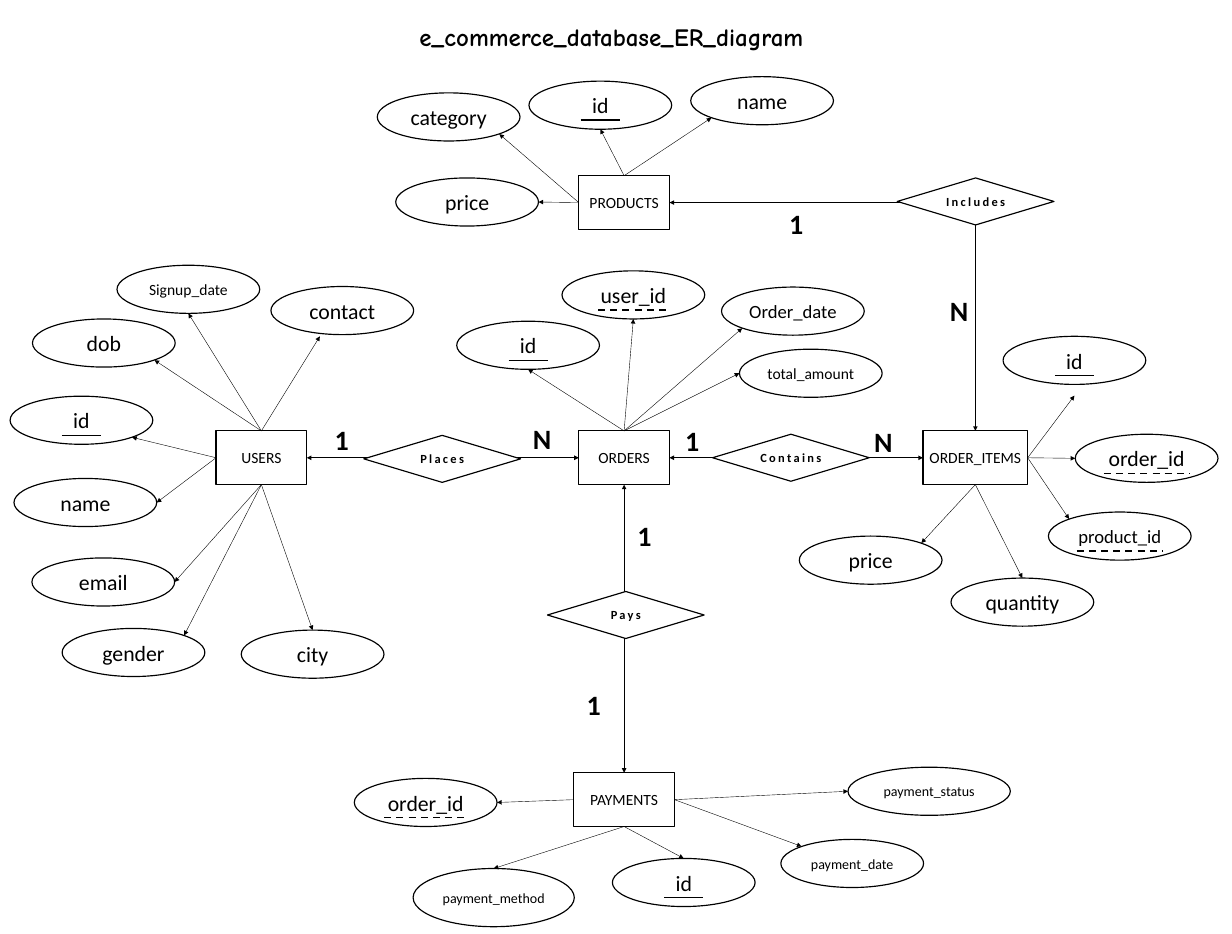
from lxml import etree
from pptx import Presentation
from pptx.dml.color import RGBColor
from pptx.enum.dml import MSO_LINE
from pptx.enum.shapes import MSO_CONNECTOR, MSO_SHAPE
from pptx.enum.text import MSO_ANCHOR, PP_ALIGN
from pptx.oxml.ns import qn
from pptx.util import Cm, Pt

RECT, OVAL, DIAMOND = MSO_SHAPE.RECTANGLE, MSO_SHAPE.OVAL, MSO_SHAPE.DIAMOND
STRAIGHT, ELBOW = MSO_CONNECTOR.STRAIGHT, MSO_CONNECTOR.ELBOW
DASH = MSO_LINE.DASH
MIDDLE, LEFT, CENTER = MSO_ANCHOR.MIDDLE, PP_ALIGN.LEFT, PP_ALIGN.CENTER
BLACK, WHITE = "000000", "FFFFFF"
TOP, WEST, BASE, EAST = range(4)

DIAG = 0.71
SITES = {
    "t": (0, -1), "b": (0, 1), "l": (-1, 0), "r": (1, 0),
    "tl": (-DIAG, -DIAG), "tr": (DIAG, -DIAG),
    "bl": (-DIAG, DIAG), "br": (DIAG, DIAG),
}

# Entity: box in inches, then attributes as
# (name, offset x, offset y, side of the entity, site on the oval, format)
PRIME = {"key": 0.7}
ENTITIES = {
    "USERS": ((3.86, 7.7, 1.62, 0.96), [
        ("Signup_date", -1.77, -2.96, TOP, "b", {"size": 20}),
        ("contact", 0.98, -2.58, TOP, "b", {"shift": (-0.4, 0.03)}),
        ("dob", -3.28, -2, TOP, "br", {}),
        ("id", -3.68, -0.62, WEST, "br", PRIME),
        ("name", -3.61, 0.85, WEST, "r", {}),
        ("email", -3.29, 2.27, BASE, "r", {}),
        ("gender", -2.75, 3.53, BASE, "tr", {}),
        ("city", 0.45, 3.56, BASE, "t", {}),
    ]),
    "ORDERS": ((10.34, 7.7, 1.62, 0.96), [
        ("id", -2.18, -1.96, TOP, "b", PRIME),
        ("user_id", -0.3, -2.86, TOP, "b", {"key": 1.26, "dash": DASH}),
        ("Order_date", 2.55, -2.57, TOP, "bl", {"size": 24}),
        ("total_amount", 2.87, -1.46, TOP, "l", {"size": 20}),
    ]),
    "ORDER_ITEMS": ((16.49, 7.7, 1.87, 0.96), [
        ("id", 1.43, -1.69, EAST, "b", {"key": 0.7, "shift": (0, 0.2)}),
        ("order_id", 2.72, 0.06, EAST, "l", {"key": 1.53, "dash": DASH}),
        ("product_id", 2.24, 1.45, EAST, "tl", {"size": 24, "key": 1.54, "dash": DASH}),
        ("quantity", 0.5, 2.63, BASE, "t", {}),
        ("price", -2.21, 1.88, BASE, "tr", {}),
    ]),
    "PAYMENTS": ((10.25, 13.81, 1.8, 0.96), [
        ("order_id", -3.92, 0.1, WEST, "r", {"key": 1.48, "dash": DASH}),
        ("payment_method", -2.87, 1.71, BASE, "t", {"size": 18, "wide": 2.88, "high": 1.04}),
        ("id", 0.69, 1.53, BASE, "t", PRIME),
        ("payment_date", 3.7, 1.19, EAST, "tl", {"size": 18}),
        ("payment_status", 4.9, -0.1, EAST, "l", {"size": 18, "wide": 2.9}),
    ]),
    "PRODUCTS": ((10.34, 3.14, 1.62, 0.96), [
        ("price", -3.27, 0.04, WEST, "r", {}),
        ("category", -3.6, -1.48, WEST, "br", {}),
        ("id", -0.89, -1.69, TOP, "b", PRIME),
        ("name", 2, -1.77, TOP, "bl", {}),
    ]),
}

# Relation: name, diamond corner, (entity, side) twice, counts as (text, offset x, offset y)
LINKS = [
    ("Places", (6.5, 7.78), ("USERS", EAST), ("ORDERS", WEST),
     [("1", -0.62, -0.27), ("N", 2.92, -0.29)]),
    ("Contains", (12.73, 7.76), ("ORDERS", EAST), ("ORDER_ITEMS", WEST),
     [("1", -0.59, -0.24), ("N", 2.79, -0.22)]),
    ("Pays", (9.78, 10.57), ("ORDERS", BASE), ("PAYMENTS", TOP),
     [("1", 1.51, -1.35), ("1", 0.6, 1.66)]),
    ("Includes", (16.03, 3.18), ("PRODUCTS", EAST), ("ORDER_ITEMS", TOP),
     [("1", -2.03, 0.47), ("N", 0.84, 2.02)]),
]


def inch(*vals):
    """Turn inches into Cm lengths."""
    return [Cm(v * 2.54) for v in vals]


def color(code):
    return RGBColor.from_string(code)


def write(frame, text, size=28, font="Calibri", bold=False, align=CENTER, space=0):
    para = frame.paragraphs[0]
    para.alignment = align
    run = para.add_run()
    run.text = text
    run.font.size, run.font.name, run.font.bold = Pt(size), font, bold
    run.font.color.rgb = color(BLACK)
    if space:
        run.font._element.set("spc", str(space * 100))


def label(slide, box, text, **form):
    frame = slide.shapes.add_textbox(*inch(*box)).text_frame
    frame.word_wrap = True
    write(frame, text, **form)


def node(slide, kind, box, text, fill=WHITE, **form):
    shape = slide.shapes.add_shape(kind, *inch(*box))
    shape.shadow.inherit = False
    if fill:
        shape.fill.solid()
        shape.fill.fore_color.rgb = color(fill)
    else:
        shape.fill.background()
    shape.line.color.rgb = color(BLACK)
    shape.line.width = Pt(1.5)
    shape.text_frame.word_wrap = False
    shape.text_frame.vertical_anchor = MIDDLE
    write(shape.text_frame, text, **form)
    return shape


def wire(slide, start=(0, 0), end=(0, 0), kind=STRAIGHT, width=0.5, dash=None, tips=()):
    """Draw a line with arrowheads at the named tips."""
    line = slide.shapes.add_connector(kind, *inch(*start, *end))
    line.line.color.rgb = color(BLACK)
    line.line.width = Pt(width)
    if dash:
        line.line.dash_style = dash
    props = line.element.spPr
    for tip in tips:
        etree.SubElement(props.find(qn("a:ln")), qn(f"a:{tip}"), type="triangle")
    etree.SubElement(props, qn("a:effectLst"))
    return line


def field(slide, owner, side, site, spot, name, size=28, wide=2.55, high=0.86,
          key=0, dash=None, shift=(0, 0)):
    """Draw an attribute oval, its key underline and the arrow from its owner."""
    left, top = spot
    node(slide, OVAL, (left, top, wide, high), name, size=size)
    mid = left + wide / 2
    if key:
        base = top + 0.7
        wire(slide, (mid - key / 2, base), (mid + key / 2, base), width=2.25, dash=dash)
    dx, dy = SITES[site]
    end = (mid + dx * wide / 2 + shift[0], top + (1 + dy) * high / 2 + shift[1])
    wire(slide, end=end, tips=["tailEnd"]).begin_connect(owner, side)


def entity(slide, box, name, fields):
    owner = node(slide, RECT, box, name, fill=None, size=20)
    for text, dx, dy, side, site, form in fields:
        field(slide, owner, side, site, (box[0] + dx, box[1] + dy), text, **form)
    return owner


def relate(slide, spot, name, first, last, counts):
    """Join two entities through a diamond and mark how many take part."""
    bent = first[1] == EAST and last[1] == TOP
    line = wire(slide, kind=ELBOW if bent else STRAIGHT, width=1, tips=["headEnd", "tailEnd"])
    line.begin_connect(*first)
    line.end_connect(*last)
    if bent:
        line.element.spPr.find(qn("a:prstGeom")).set("prst", "bentConnector2")
    left, top = spot
    node(slide, DIAMOND, (left, top, 2.8, 0.84), name, size=16, bold=True, space=3)
    for text, dx, dy in counts:
        label(slide, (left + dx, top + dy, 0.6, 0.71), text, size=36, bold=True, align=LEFT)


def main():
    deck = Presentation()
    deck.slide_width, deck.slide_height = inch(22.01, 16.69)
    slide = deck.slides.add_slide(deck.slide_layouts[6])
    label(slide, (6.53, 0.34, 8.79, 0.64), "e_commerce_database_ER_diagram",
          size=32, font="Comic Neue", bold=True)
    owners = {name: entity(slide, box, name, fields)
              for name, (box, fields) in ENTITIES.items()}
    for name, spot, (one, out), (two, into), counts in LINKS:
        relate(slide, spot, name, (owners[one], out), (owners[two], into), counts)
    deck.save("out.pptx")


if __name__ == "__main__":
    main()
